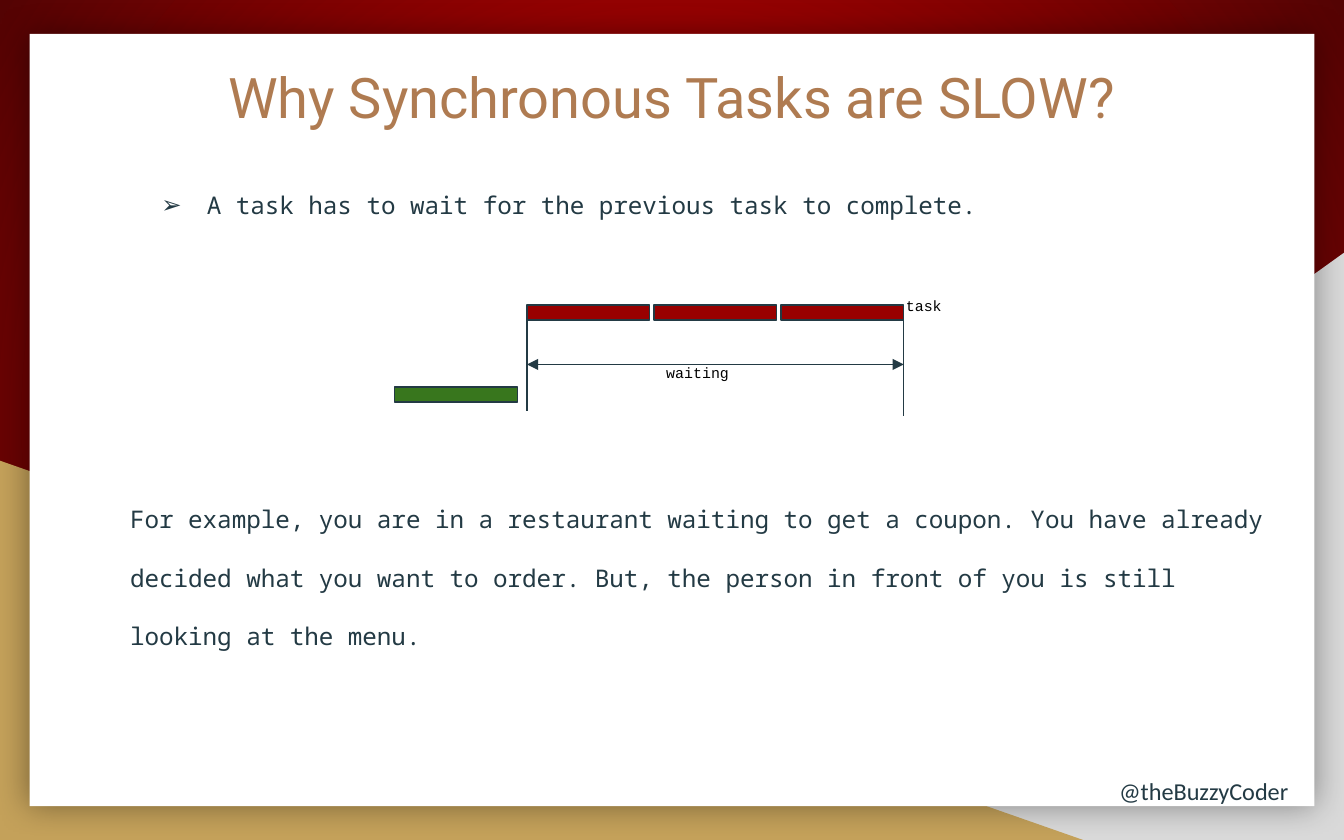
"""Build the slide that explains why synchronous tasks are slow."""
from lxml import etree
from pptx import Presentation
from pptx.dml.color import RGBColor
from pptx.enum.shapes import MSO_CONNECTOR, MSO_SHAPE
from pptx.enum.text import MSO_ANCHOR, PP_ALIGN
from pptx.oxml.ns import qn
from pptx.util import Cm, Pt

RECTANGLE = MSO_SHAPE.RECTANGLE
TRIANGLE = MSO_SHAPE.RIGHT_TRIANGLE
STRAIGHT = MSO_CONNECTOR.STRAIGHT
LEFT, CENTER = PP_ALIGN.LEFT, PP_ALIGN.CENTER
TOP, MIDDLE = MSO_ANCHOR.TOP, MSO_ANCHOR.MIDDLE
LEFT_SIDE, RIGHT_SIDE = 1, 3

INK, BLACK, WHITE = "233A44", "000000", "FFFFFF"
BROWN, GOLD, GREY = "AF7B51", "C4A15A", "D9D9D9"
RED, GREEN = "990000", "38761D"
GLOW, MAROON = "DB0000", "540303"


def rgb(code):
    """Turn a hex string into a colour."""
    return RGBColor.from_string(code)


def add_node(parent, tag, **attributes):
    """Append a drawing element to its parent."""
    return etree.SubElement(parent, qn(tag), attributes)


class Painter:
    """Hold the style and the current slide."""

    line_width = Pt(0.75)
    inset = Cm(0.25)

    def __init__(self, page):
        """Start painting on one slide."""
        self.page = page

    def background(self, inner, outer):
        """Fill the slide with a radial gradient."""
        fill = self.page.background.fill
        fill.gradient()
        for stop, color, position in zip(fill.gradient_stops, (inner, outer), (0, 1)):
            stop.color.rgb = rgb(color)
            stop.position = position
        gradient = next(self.page.element.iter(qn("a:gradFill")))
        gradient.remove(gradient.find(qn("a:lin")))
        route = add_node(gradient, "a:path", path="circle")
        add_node(route, "a:fillToRect", l="50000", t="50000", r="50000", b="50000")

    def shape(self, kind, left, top, width, height, color, line=None, flip=False):
        """Draw a filled preset shape."""
        shape = self.page.shapes.add_shape(kind, Cm(left), Cm(top), Cm(width), Cm(height))
        shape.shadow.inherit = False
        shape.fill.solid()
        shape.fill.fore_color.rgb = rgb(color)
        if line:
            shape.line.color.rgb = rgb(line)
            shape.line.width = self.line_width
        else:
            shape.line.fill.background()
        if flip:
            shape.element.spPr.find(qn("a:xfrm")).set("flipH", "1")
        return shape

    def soft_shadow(self, shape):
        """Give a shape a blurred shadow on all sides."""
        effects = shape.element.spPr.find(qn("a:effectLst"))
        shadow = add_node(effects, "a:outerShdw", blurRad=str(Pt(18)), dist="0",
                          dir="0", algn="ctr", rotWithShape="0")
        color = add_node(shadow, "a:srgbClr", val=BLACK)
        add_node(color, "a:alpha", val="40000")

    def text(self, left, top, width, height, words, font, size, color=INK,
             align=LEFT, anchor=TOP, spacing=None, after=0, bullet=None):
        """Write one paragraph in a box."""
        box = self.page.shapes.add_textbox(Cm(left), Cm(top), Cm(width), Cm(height))
        frame = box.text_frame
        frame.word_wrap = True
        frame.vertical_anchor = anchor
        frame.margin_left = frame.margin_right = self.inset
        frame.margin_top = frame.margin_bottom = self.inset
        para = frame.paragraphs[0]
        if bullet:
            self.bullet(para, bullet, font, color)
        para.alignment = align
        para.space_after = Pt(after)
        if spacing:
            para.line_spacing = spacing
        span = para.add_run()
        span.text = words
        span.font.name = font
        span.font.size = Pt(size)
        span.font.color.rgb = rgb(color)

    def bullet(self, para, sign, font, color):
        """Put a hanging bullet before a paragraph."""
        style = para._p.get_or_add_pPr()
        style.set("marL", str(Cm(1.27)))
        style.set("indent", str(Cm(-0.86)))
        add_node(add_node(style, "a:buClr"), "a:srgbClr", val=color)
        add_node(style, "a:buFont", typeface=font)
        add_node(style, "a:buChar", char=sign)

    def line(self, start, end, bar=None, side=None, arrows=False):
        """Draw a straight line, joined to a bar or with arrowheads."""
        line = self.page.shapes.add_connector(STRAIGHT, *map(Cm, start + end))
        if bar is not None:
            line.begin_connect(bar, side)
        line.line.color.rgb = rgb(INK)
        line.line.width = self.line_width
        if arrows:
            outline = line.line._get_or_add_ln()
            for tag in ("a:headEnd", "a:tailEnd"):
                add_node(outline, tag, type="triangle", w="med", len="med")
        add_node(line.element.spPr, "a:effectLst")


def main():
    """Build and save the deck."""
    deck = Presentation()
    deck.slide_width, deck.slide_height = Cm(25.4), Cm(15.88)
    painter = Painter(deck.slides.add_slide(deck.slide_layouts[6]))

    painter.background(GLOW, MAROON)
    painter.shape(TRIANGLE, 9.96, 4.78, 15.44, 11.1, GREY, flip=True)
    painter.shape(TRIANGLE, 0, 8.71, 20.47, 7.17, GOLD)
    painter.soft_shadow(painter.shape(RECTANGLE, 0.56, 0.64, 24.28, 14.6, WHITE))

    painter.text(0.86, 0.86, 23.67, 1.93, "Why Synchronous Tasks are SLOW?",
                 "Roboto", 30, BROWN, CENTER, MIDDLE)
    body = {"font": "Noto Sans Mono", "size": 13, "spacing": 2.0, "after": 16}
    painter.text(2.39, 2.79, 19.74, 1.35,
                 "A task has to wait for the previous task to complete.", bullet="➢", **body)
    painter.text(2.21, 8.74, 22.28, 5.84,
                 "For example, you are in a restaurant waiting to get a coupon. "
                 "You have already decided what you want to order. But, the person "
                 "in front of you is still looking at the menu.", **body)

    bar_left, bar_top, bar_width, bar_height, pitch = 9.96, 5.77, 2.32, 0.28, 2.4
    painter.shape(RECTANGLE, 7.46, 7.32, bar_width, bar_height, GREEN, INK)
    bars = [painter.shape(RECTANGLE, bar_left + i * pitch, bar_top,
                          bar_width, bar_height, RED, INK) for i in range(3)]
    bar_right = bar_left + 2 * pitch + bar_width
    bar_middle = bar_top + bar_height / 2

    label = {"font": "Courier New", "size": 8, "color": BLACK}
    painter.text(16.87, 5.44, 1.47, 0.33, "task", **label)
    painter.line((bar_left, bar_middle), (bar_left, 7.77), bars[0], LEFT_SIDE)
    painter.line((bar_right, bar_middle), (bar_right, 7.86), bars[-1], RIGHT_SIDE)
    painter.line((bar_left, 6.89), (bar_right, 6.89), arrows=True)
    painter.text(12.34, 6.71, 2.31, 0.61, "waiting", **label)

    painter.text(20.9, 14.35, 3.94, 0.86, "@theBuzzyCoder", "Calibri", 13,
                 spacing=1.15, after=16)
    deck.save("out.pptx")


if __name__ == "__main__":
    main()
